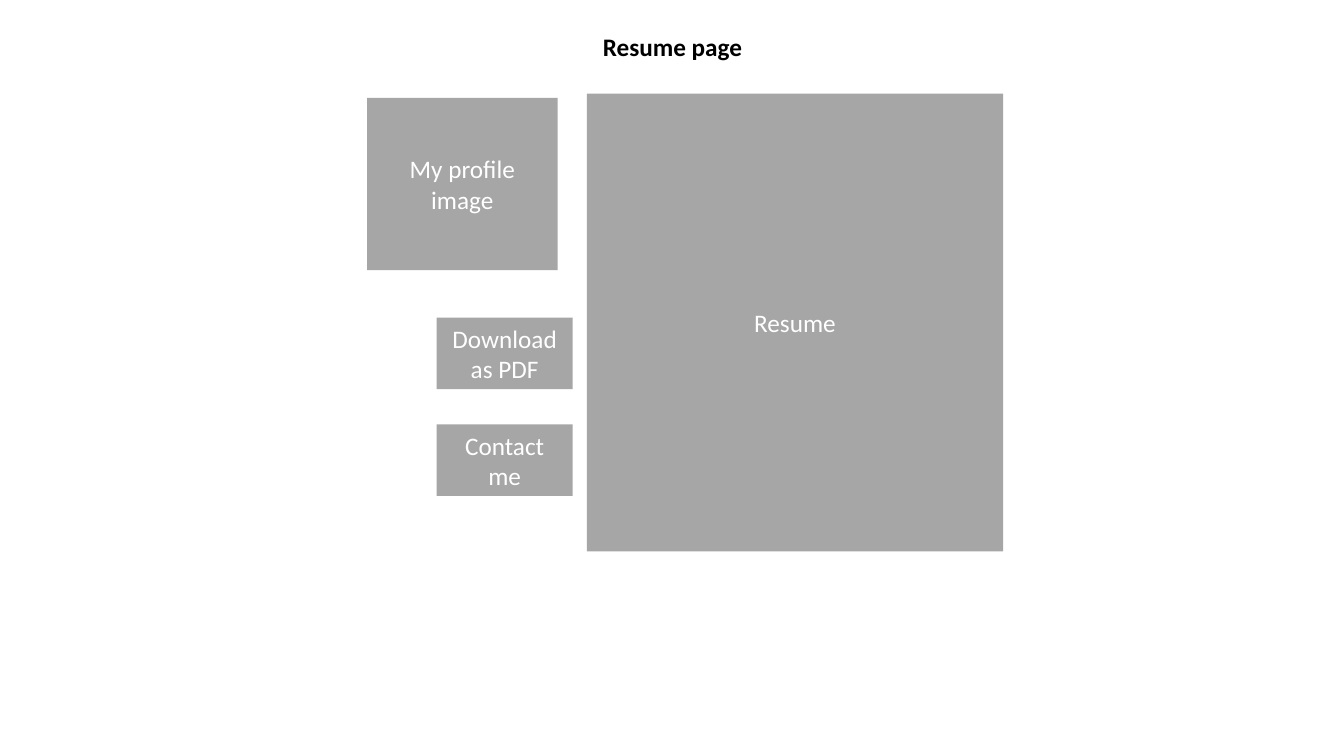
"""Build the wireframe slide of a resume page."""
from pptx import Presentation
from pptx.dml.color import RGBColor
from pptx.enum.shapes import MSO_SHAPE
from pptx.enum.text import MSO_ANCHOR, MSO_AUTO_SIZE, PP_ALIGN
from pptx.util import Pt

RECTANGLE = MSO_SHAPE.RECTANGLE
TOP, MIDDLE = MSO_ANCHOR.TOP, MSO_ANCHOR.MIDDLE
CENTER = PP_ALIGN.CENTER
FIT_SHAPE = MSO_AUTO_SIZE.SHAPE_TO_FIT_TEXT
PX = 9144

THEME = {
    "font": "Calibri",
    "size": Pt(18),
    "title": RGBColor(0x00, 0x00, 0x00),
    "block": RGBColor(0xA6, 0xA6, 0xA6),
    "label": RGBColor(0xFF, 0xFF, 0xFF),
}


def write_text(shape, text, color, anchor, bold=False):
    frame = shape.text_frame
    frame.word_wrap = True
    frame.vertical_anchor = anchor
    paragraph = frame.paragraphs[0]
    paragraph.text = text
    paragraph.alignment = CENTER
    paragraph.font.name = THEME["font"]
    paragraph.font.size = THEME["size"]
    paragraph.font.bold = bold
    paragraph.font.color.rgb = color


presentation = Presentation()
presentation.slide_width = 1333 * PX
presentation.slide_height = 750 * PX
slide = presentation.slides.add_slide(presentation.slide_layouts[5])

title = slide.shapes.title
title.left, title.top, title.width, title.height = 476 * PX, 26 * PX, 382 * PX, 40 * PX
write_text(title, "Resume page", THEME["title"], TOP, bold=True)
title.text_frame.auto_size = FIT_SHAPE

blocks = [
    ("My profile image", 364, 97, 189, 171),
    ("Resume", 582, 93, 413, 454),
]
for row, label in enumerate(["Download as PDF", "Contact me"]):
    blocks.append((label, 433, 315 + row * 106, 135, 71))

for label, left, top, width, height in blocks:
    block = slide.shapes.add_shape(RECTANGLE, left * PX, top * PX, width * PX, height * PX)
    block.shadow.inherit = False
    block.fill.solid()
    block.fill.fore_color.rgb = THEME["block"]
    block.line.fill.background()
    write_text(block, label, THEME["label"], MIDDLE)

presentation.save("out.pptx")
